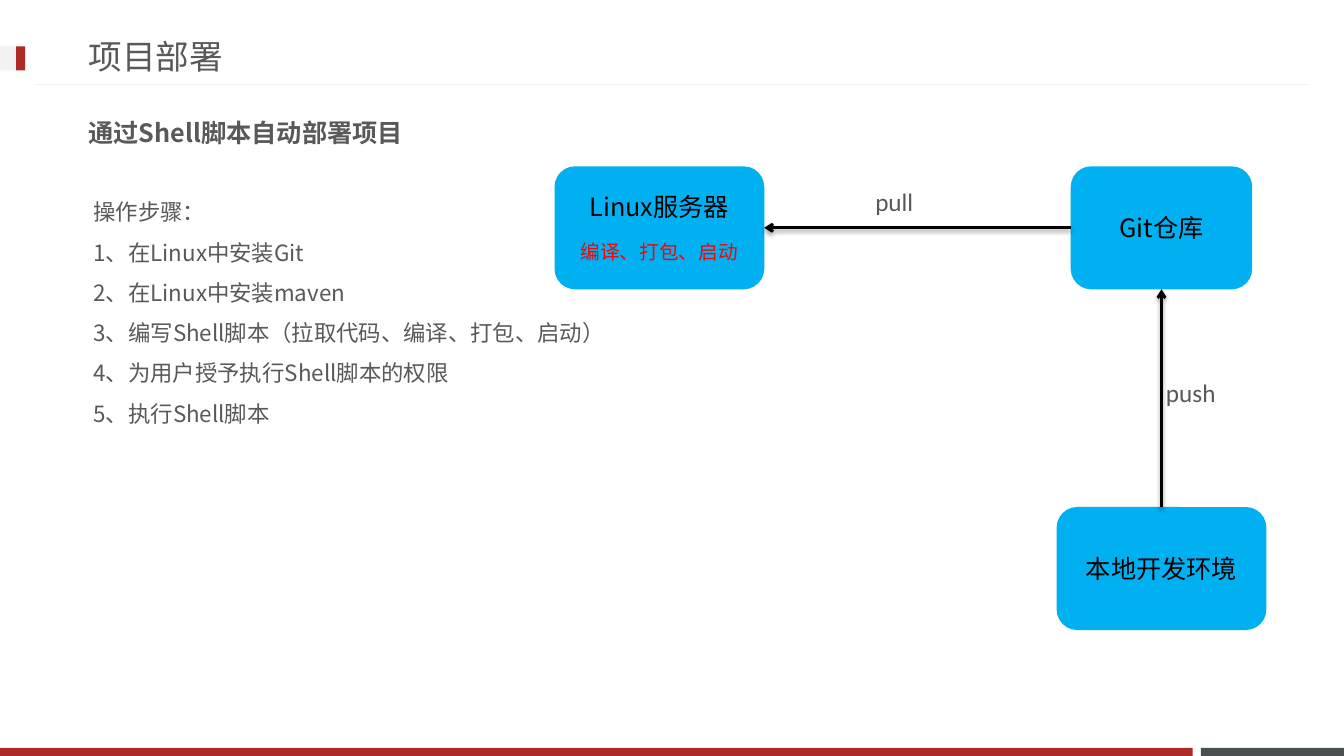
from dataclasses import dataclass

from lxml.etree import SubElement
from pptx import Presentation
from pptx.dml.color import RGBColor
from pptx.enum.shapes import MSO_CONNECTOR, MSO_SHAPE
from pptx.enum.text import MSO_ANCHOR, PP_ALIGN
from pptx.oxml.ns import qn
from pptx.util import Inches, Pt


@dataclass(frozen=True)
class Theme:
    text: str = "595959"
    black: str = "000000"
    alert: str = "FF0000"
    node: str = "00B0F0"
    red: str = "AD2B26"
    slate: str = "49504F"
    pale: str = "F2F2F2"
    title_size: int = 24
    heading_size: int = 18
    step_size: int = 16
    note_size: int = 14
    cjk_font: str = "Noto Sans CJK JP"
    latin_font: str = "Calibri"


class SlideBuilder:
    def __init__(self, slide, theme):
        self.slide = slide
        self.theme = theme

    def set_lines(self, frame, lines, size, color, font=None, bold=False, align=PP_ALIGN.LEFT, **spacing):
        frame.word_wrap = True
        frame.vertical_anchor = MSO_ANCHOR.MIDDLE
        for index, line in enumerate(lines):
            paragraph = frame.paragraphs[0] if index == 0 else frame.add_paragraph()
            self.add_run(paragraph, line, size, color, font, bold)
            for name, value in {"alignment": align, **spacing}.items():
                setattr(paragraph, name, value)

    def add_run(self, paragraph, text, size, color, font=None, bold=False):
        run = paragraph.add_run()
        run.text = text
        run.font.color.rgb = RGBColor.from_string(color)
        values = {"size": Pt(size), "name": font or self.theme.cjk_font, "bold": bold}
        for name, value in values.items():
            setattr(run.font, name, value)
        east_asian = SubElement(run.font._element, qn("a:ea"))
        east_asian.set("typeface", self.theme.cjk_font)

    def text(self, box, lines, size, **style):
        shape = self.slide.shapes.add_textbox(*map(Inches, box))
        self.set_lines(shape.text_frame, lines, size, self.theme.text, **style)

    def block(self, box, color, kind=MSO_SHAPE.RECTANGLE):
        shape = self.slide.shapes.add_shape(kind, *map(Inches, box))
        shape.shadow.inherit = False
        shape.fill.solid()
        shape.fill.fore_color.rgb = RGBColor.from_string(color)
        shape.line.fill.background()
        return shape

    def node(self, box, label, note=None):
        theme = self.theme
        shape = self.block(box, theme.node, MSO_SHAPE.ROUNDED_RECTANGLE)
        frame = shape.text_frame
        self.set_lines(frame, [label], theme.heading_size, theme.black, align=PP_ALIGN.CENTER)
        if note:
            paragraph = frame.add_paragraph()
            paragraph.alignment = PP_ALIGN.CENTER
            paragraph.space_before = Pt(13)
            self.add_run(paragraph, note, theme.note_size, theme.alert)
        return shape

    def line(self, start, end, color, width):
        connector = self.slide.shapes.add_connector(
            MSO_CONNECTOR.STRAIGHT, *map(Inches, (*start, *end))
        )
        connector.line.color.rgb = RGBColor.from_string(color)
        connector.line.width = Pt(width)
        return connector

    def rule(self, start, end):
        connector = self.line(start, end, self.theme.pale, 0.75)
        SubElement(connector._element.spPr, qn("a:effectLst"))

    def arrow(self, source, source_site, target, target_site):
        connector = self.line((0, 0), (1, 1), self.theme.black, 2)
        connector.begin_connect(source, source_site)
        connector.end_connect(target, target_site)
        outline = connector._element.spPr.find(qn("a:ln"))
        SubElement(outline, qn("a:tailEnd")).set("type", "arrow")


def main():
    presentation = Presentation()
    presentation.slide_width = Inches(13.33)
    presentation.slide_height = Inches(7.5)
    theme = Theme()
    slide = presentation.slides.add_slide(presentation.slide_layouts[6])
    builder = SlideBuilder(slide, theme)

    builder.block((11.91, 7.42, 1.42, 0.08), theme.slate)
    builder.block((0, 7.42, 11.83, 0.08), theme.red)
    builder.rule((12.98, 0.84), (0.35, 0.84))
    builder.block((0, 0.46, 0.25, 0.24), theme.pale)
    builder.block((0.16, 0.46, 0.09, 0.24), theme.red)

    builder.text((0.78, 0.27, 9.59, 0.57), ["项目部署"], theme.title_size)
    builder.text((0.78, 1.03, 11.76, 0.57), ["通过Shell脚本自动部署项目"], theme.heading_size, bold=True)
    steps = [
        "操作步骤：",
        "1、在Linux中安装Git",
        "2、在Linux中安装maven",
        "3、编写Shell脚本（拉取代码、编译、打包、启动）",
        "4、为用户授予执行Shell脚本的权限",
        "5、执行Shell脚本",
    ]
    builder.text((0.83, 1.52, 9.79, 3.03), steps, theme.step_size, line_spacing=1.5)

    repository = builder.node((10.62, 1.65, 1.8, 1.22), "Git仓库")
    workstation = builder.node((10.48, 5.03, 2.08, 1.22), "本地开发环境")
    server = builder.node((5.5, 1.65, 2.08, 1.22), "Linux服务器", "编译、打包、启动")

    top, left, bottom, right = range(4)
    builder.arrow(workstation, top, repository, bottom)
    builder.arrow(repository, left, server, right)
    for label, x, y in (("push", 11.09, 3.68), ("pull", 8.15, 1.79)):
        builder.text((x, y, 1.44, 0.42), [label], theme.heading_size,
                     font=theme.latin_font, align=PP_ALIGN.CENTER)

    presentation.save("out.pptx")


if __name__ == "__main__":
    main()
